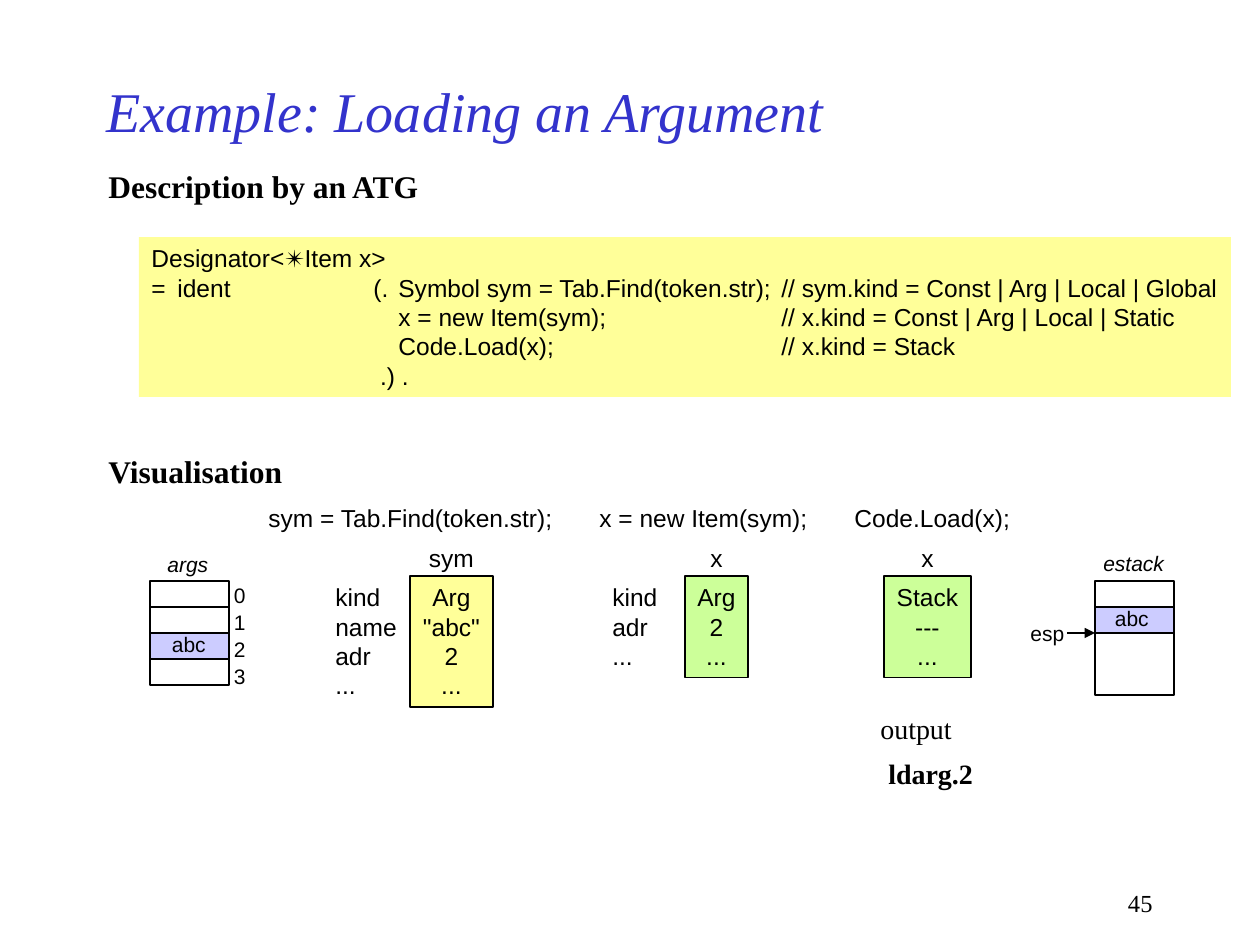
from lxml.etree import SubElement
from pptx import Presentation
from pptx.dml.color import RGBColor
from pptx.enum.shapes import MSO_CONNECTOR, MSO_SHAPE
from pptx.enum.text import MSO_ANCHOR, MSO_AUTO_SIZE, PP_ALIGN
from pptx.oxml.ns import qn
from pptx.util import Pt

SCALE = 914400 / 126  # EMU in one px
SERIF, SANS = "Times New Roman", "Arial"
BLACK, BLUE, YELLOW, GREEN, LILAC = "000000", "3333CC", "FFFF99", "CCFF99", "CCCCFF"
STAR = "✴"

TITLE = "Example: Loading an Argument"
HEADINGS = [("Description by an ATG", 161, 342), ("Visualisation", 446, 204)]
CODE = [
    "Designator<✴Item x>",
    "=\tident\t(.\tSymbol sym = Tab.Find(token.str);\t// sym.kind = Const | Arg | Local | Global",
    "\t\t\tx = new Item(sym);\t// x.kind = Const | Arg | Local | Static",
    "\t\t\tCode.Load(x);\t// x.kind = Stack",
    "\t\t .) .",
]
CODE_TABS = [26, 222, 247, 630]
STEPS = [
    dict(call="sym = Tab.Find(token.str);", call_x=256, call_w=316,
         fields=["kind", "name", "adr", "..."], fields_x=323, fields_w=88,
         item="sym", item_w=74, values=["Arg", '"abc"', "2", "..."],
         box_x=410, box_w=83, color=YELLOW),
    dict(call="x = new Item(sym);", call_x=587, call_w=236,
         fields=["kind", "adr", "..."], fields_x=600, fields_w=74,
         item="x", item_w=40, values=["Arg", "2", "..."],
         box_x=685, box_w=63, color=GREEN),
    dict(call="Code.Load(x);", call_x=842, call_w=184, fields=[],
         item="x", item_w=40, values=["Stack", "---", "..."],
         box_x=884, box_w=87, color=GREEN),
]
CALL_Y, ITEM_Y, BOX_Y = 497, 537, 576
OUTPUT = [("output", 868, 705, 100, False), ("ldarg.2", 876, 750, 114, True)]
CELL_W, CELL_H, CELLS_Y = 79, 26, 581
MEMORY = [
    dict(name="args", name_at=(155, 545, 68, 38), x=150, heights=[CELL_H] * 4, used=2,
         abc_at=(172, 632, 36, 25)),
    dict(name="estack", name_at=(1091, 544, 88, 38), x=1095, heights=[CELL_H, CELL_H, 62], used=1,
         abc_at=(1115, 606, 36, 25)),
]


def px(length):
    return round(length * SCALE)


def rgb(color):
    return RGBColor.from_string(color)


def add_box(at, fill=None, line=None):
    box = slide.shapes.add_shape(MSO_SHAPE.RECTANGLE, *map(px, at))
    box.shadow.inherit = False
    if fill:
        box.fill.solid()
        box.fill.fore_color.rgb = rgb(fill)
    else:
        box.fill.background()
    if line:
        box.line.color.rgb = rgb(line)
        box.line.width = Pt(0.75)
    else:
        box.line.fill.background()
    return box


def add_text(lines, at=None, box=None, size=14, font=SANS, color=BLACK, bold=False,
             italic=False, align=PP_ALIGN.LEFT, anchor=MSO_ANCHOR.TOP, inset=True,
             wrap=False, tabs=()):
    """Write lines into the given box, or into a new text box at the given place."""
    box = box or slide.shapes.add_textbox(*map(px, at))
    frame = box.text_frame
    frame.word_wrap = wrap
    frame.auto_size = MSO_AUTO_SIZE.NONE if wrap else MSO_AUTO_SIZE.SHAPE_TO_FIT_TEXT
    frame.vertical_anchor = anchor
    if not inset:
        frame.margin_left = frame.margin_top = frame.margin_right = frame.margin_bottom = 0
    for i, line in enumerate(lines):
        paragraph = frame.paragraphs[0] if i == 0 else frame.add_paragraph()
        paragraph.alignment = align
        if tabs:
            tab_list = SubElement(paragraph._p.get_or_add_pPr(), qn("a:tabLst"))
            for tab in tabs:
                SubElement(tab_list, qn("a:tab"), pos=str(px(tab)), algn="l")
        for part in filter(None, line.partition(STAR)):
            run = paragraph.add_run()
            run.text = part
            run.font.name = "Calibri" if part == STAR else font
            run.font.size = Pt(size)
            run.font.bold, run.font.italic = bold, italic
            run.font.color.rgb = rgb(color)


def add_arrow(x1, y1, x2, y2):
    arrow = slide.shapes.add_connector(MSO_CONNECTOR.STRAIGHT, *map(px, (x1, y1, x2, y2)))
    arrow.line.color.rgb = rgb(BLACK)
    arrow.line.width = Pt(0.75)
    SubElement(arrow.line._get_or_add_ln(), qn("a:tailEnd"), type="triangle")
    SubElement(arrow._element.spPr, qn("a:effectLst"))


def add_step(step):
    rows_h = 13 + 29.5 * len(step["values"])
    add_text([step["call"]], (step["call_x"], CALL_Y, step["call_w"], 43))
    if step["fields"]:
        add_text(step["fields"], (step["fields_x"], BOX_Y, step["fields_w"], rows_h))
    box = add_box((step["box_x"], BOX_Y, step["box_w"], rows_h), step["color"], BLACK)
    add_text(step["values"], box=box, align=PP_ALIGN.CENTER)
    item_x = step["box_x"] + (step["box_w"] - step["item_w"]) / 2
    add_text([step["item"]], (item_x, ITEM_Y, step["item_w"], 43), align=PP_ALIGN.CENTER)


def add_memory(memory):
    y = CELLS_Y
    for i, height in enumerate(memory["heights"]):
        add_box((memory["x"], y, CELL_W, height), LILAC if i == memory["used"] else None, BLACK)
        y += height
    add_text(["abc"], memory["abc_at"], size=12, inset=False)
    add_text([memory["name"]], memory["name_at"], size=12, italic=True)


deck = Presentation()
deck.slide_width, deck.slide_height = px(1260), px(945)
slide = deck.slides.add_slide(deck.slide_layouts[6])

add_text([TITLE], (94, 63, 945, 94), size=32, font=SERIF, color=BLUE, italic=True,
         anchor=MSO_ANCHOR.MIDDLE, wrap=True)
for heading, y, width in HEADINGS:
    add_text([heading], (96, y, width, 50), size=18, font=SERIF, bold=True)
add_text(CODE, box=add_box((139, 237, 1092, 160), YELLOW), tabs=CODE_TABS)

for step in STEPS:
    add_step(step)
for memory in MEMORY:
    add_memory(memory)
for index in range(4):
    add_text([str(index)], (234, 583 + 27 * index, 13, 25), size=12, inset=False)
add_text(["esp"], (1018, 614, 62, 38), size=12)
esp_y = CELLS_Y + 2 * CELL_H
add_arrow(1067, esp_y, 1095, esp_y)

for word, x, y, width, bold in OUTPUT:
    add_text([word], (x, y, width, 47), size=16, font=SERIF, bold=bold)
add_text(["45"], (903, 882, 262, 42), font=SERIF, align=PP_ALIGN.RIGHT, wrap=True)

deck.save("out.pptx")
